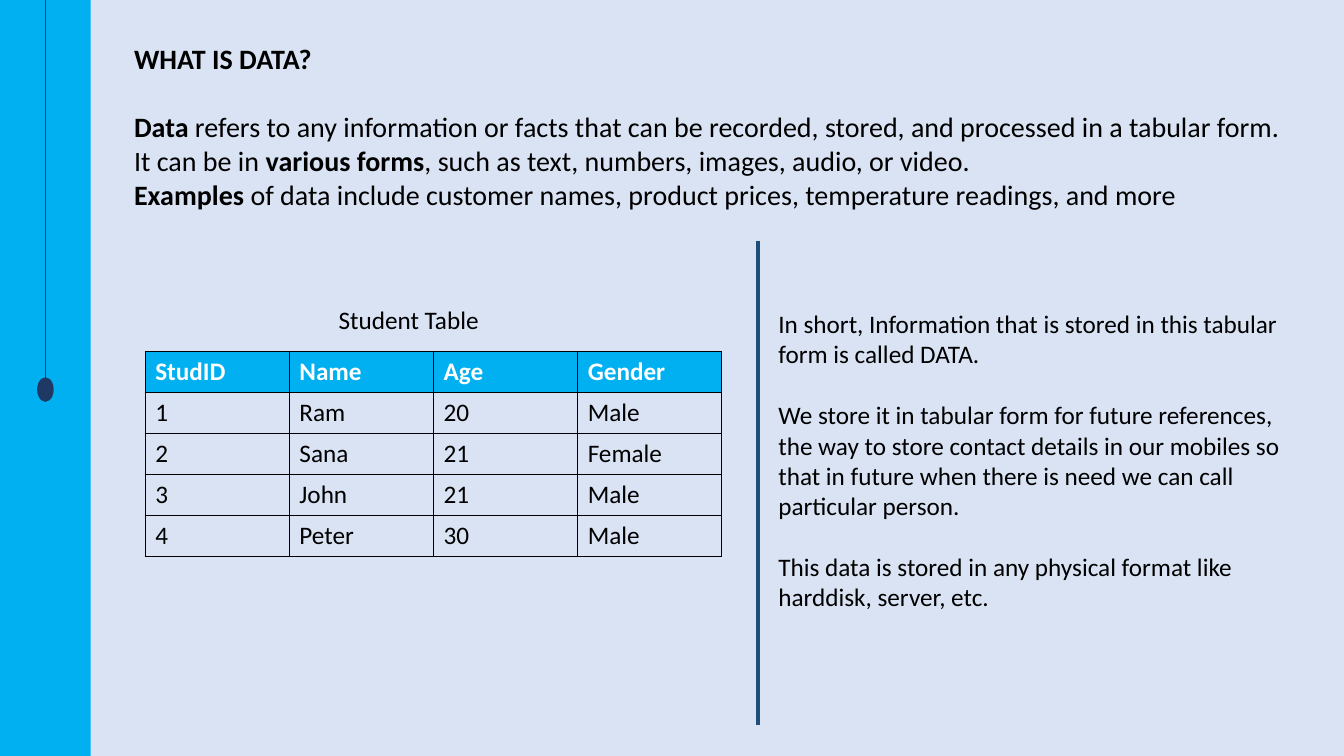
from dataclasses import dataclass

from lxml import etree
from pptx import Presentation
from pptx.dml.color import RGBColor
from pptx.enum.shapes import MSO_CONNECTOR, MSO_SHAPE
from pptx.enum.text import MSO_ANCHOR, MSO_AUTO_SIZE, PP_ALIGN
from pptx.oxml.ns import qn
from pptx.shapes.autoshape import Shape
from pptx.shapes.connector import Connector
from pptx.slide import Slide
from pptx.table import _Cell as Cell
from pptx.text.text import TextFrame
from pptx.util import Inches, Pt

FONT = "Calibri"
BLACK = RGBColor(0x00, 0x00, 0x00)
WHITE = RGBColor(0xFF, 0xFF, 0xFF)
PALE_BLUE = RGBColor(0xDA, 0xE3, 0xF3)
SKY_BLUE = RGBColor(0x00, 0xB0, 0xF0)
NAVY = RGBColor(0x20, 0x38, 0x64)
STEEL_BLUE = RGBColor(0x1F, 0x4E, 0x79)

SLIDE_HEIGHT = 7.5
BAND_WIDTH = 0.9
BAND_CENTER = BAND_WIDTH / 2
DOT_WIDTH, DOT_HEIGHT = 0.15, 0.23
ROW_HEIGHT, COLUMN_WIDTH = 0.4, 1.43


@dataclass(frozen=True)
class Span:
    text: str
    bold: bool = False


@dataclass(frozen=True)
class TextBlock:
    left: float
    top: float
    width: float
    height: float
    size: float
    paragraphs: list[list[Span]]
    gap: float = 0


@dataclass(frozen=True)
class Rule:
    x: float
    top: float
    bottom: float
    color: RGBColor
    weight: float


HEADING = TextBlock(1.23, 0.36, 11.66, 0.44, 20, [[Span("WHAT IS DATA?", True)]])
DEFINITION = TextBlock(1.23, 1.04, 11.66, 1.12, 20, [
    [Span("Data", True),
     Span(" refers to any information or facts that can be recorded, stored, "
          "and processed in a tabular form.")],
    [Span("It can be in "), Span("various forms", True),
     Span(", such as text, numbers, images, audio, or video.")],
    [Span("Examples", True),
     Span(" of data include customer names, product prices, "
          "temperature readings, and more")],
])
EXPLANATION = TextBlock(7.62, 3.01, 5.26, 3.13, 18, [
    [Span("In short, Information that is stored in this tabular form is called DATA.")],
    [Span("We store it in tabular form for future references, the way to store "
          "contact details in our mobiles so that in future when there is need "
          "we can call particular person.")],
    [Span("This data is stored in any physical format like harddisk, server, etc.")],
], gap=22)
CAPTION = TextBlock(3.26, 2.97, 1.89, 0.4, 18, [[Span("Student Table")]])

BAND_RULE = Rule(BAND_CENTER, 0, 3.75, NAVY, 0.5)
DIVIDER = Rule(7.52, 2.39, 7.19, STEEL_BLUE, 3)

STUDENTS = [
    ["StudID", "Name", "Age", "Gender"],
    ["1", "Ram", "20", "Male"],
    ["2", "Sana", "21", "Female"],
    ["3", "John", "21", "Male"],
    ["4", "Peter", "30", "Male"],
]


def write_spans(frame: TextFrame, block: TextBlock) -> None:
    for index, spans in enumerate(block.paragraphs):
        paragraph = frame.paragraphs[0] if index == 0 else frame.add_paragraph()
        properties = paragraph._p.get_or_add_pPr()
        properties.set("marL", "0")
        properties.set("indent", "0")
        etree.SubElement(properties, qn("a:buNone"))
        paragraph.alignment = PP_ALIGN.LEFT
        paragraph.space_before = Pt(block.gap if index else 0)
        for span in spans:
            run = paragraph.add_run()
            run.text = span.text
            run.font.name = FONT
            run.font.size = Pt(block.size)
            run.font.bold = span.bold
            run.font.color.rgb = BLACK


def place_text(holder: Shape, block: TextBlock) -> None:
    holder.left, holder.top = Inches(block.left), Inches(block.top)
    holder.width, holder.height = Inches(block.width), Inches(block.height)
    frame = holder.text_frame
    frame.word_wrap = True
    frame.auto_size = MSO_AUTO_SIZE.NONE
    frame.vertical_anchor = MSO_ANCHOR.TOP
    write_spans(frame, block)


def add_solid(slide: Slide, preset: MSO_SHAPE, left: float, top: float,
              width: float, height: float, color: RGBColor) -> Shape:
    solid = slide.shapes.add_shape(
        preset, Inches(left), Inches(top), Inches(width), Inches(height))
    solid.shadow.inherit = False
    solid.fill.solid()
    solid.fill.fore_color.rgb = color
    solid.line.fill.background()
    return solid


def add_rule(slide: Slide, rule: Rule) -> Connector:
    line = slide.shapes.add_connector(
        MSO_CONNECTOR.STRAIGHT, Inches(rule.x), Inches(rule.top),
        Inches(rule.x), Inches(rule.bottom))
    line.line.color.rgb = rule.color
    line.line.width = Pt(rule.weight)
    etree.SubElement(line._element.spPr, qn("a:effectLst"))
    return line


def add_borders(cell: Cell) -> None:
    properties = cell._tc.get_or_add_tcPr()
    for position, side in enumerate(("a:lnL", "a:lnR", "a:lnT", "a:lnB")):
        border = etree.Element(qn(side), w=str(Pt(1)))
        fill = etree.SubElement(border, qn("a:solidFill"))
        etree.SubElement(fill, qn("a:srgbClr"), val=str(BLACK))
        properties.insert(position, border)


def add_student_table(slide: Slide, left: float, top: float) -> None:
    row_count, column_count = len(STUDENTS), len(STUDENTS[0])
    table = slide.shapes.add_table(
        row_count, column_count, Inches(left), Inches(top),
        Inches(COLUMN_WIDTH * column_count), Inches(ROW_HEIGHT * row_count)).table
    table.horz_banding = False
    for row_index, student in enumerate(STUDENTS):
        is_header = row_index == 0
        for column_index, value in enumerate(student):
            cell = table.cell(row_index, column_index)
            cell.text_frame.text = value
            font = cell.text_frame.paragraphs[0].runs[0].font
            font.name, font.size, font.bold = FONT, Pt(18), is_header
            font.color.rgb = WHITE if is_header else BLACK
            if is_header:
                cell.fill.solid()
                cell.fill.fore_color.rgb = SKY_BLUE
            else:
                cell.fill.background()
            add_borders(cell)


def main() -> None:
    deck = Presentation()
    deck.slide_width, deck.slide_height = Inches(13.33), Inches(SLIDE_HEIGHT)
    slide = deck.slides.add_slide(deck.slide_layouts.get_by_name("Two Content"))
    slide.background.fill.solid()
    slide.background.fill.fore_color.rgb = PALE_BLUE

    # Side band with its hanging dot
    add_solid(slide, MSO_SHAPE.RECTANGLE, 0, 0, BAND_WIDTH, SLIDE_HEIGHT, SKY_BLUE)
    dot = add_solid(slide, MSO_SHAPE.OVAL, BAND_CENTER - DOT_WIDTH / 2,
                    BAND_RULE.bottom, DOT_WIDTH, DOT_HEIGHT, NAVY)
    dot.line.color.rgb = NAVY
    dot.line.width = Pt(1)
    add_rule(slide, BAND_RULE).end_connect(dot, 0)

    # Heading, definition and explanation
    place_text(slide.shapes.title, HEADING)
    place_text(slide.placeholders[1], DEFINITION)
    add_rule(slide, DIVIDER)
    place_text(slide.placeholders[2], EXPLANATION)

    # Student table with its caption
    place_text(slide.shapes.add_textbox(0, 0, 0, 0), CAPTION)
    add_student_table(slide, 1.44, 3.49)

    deck.save("out.pptx")


if __name__ == "__main__":
    main()
